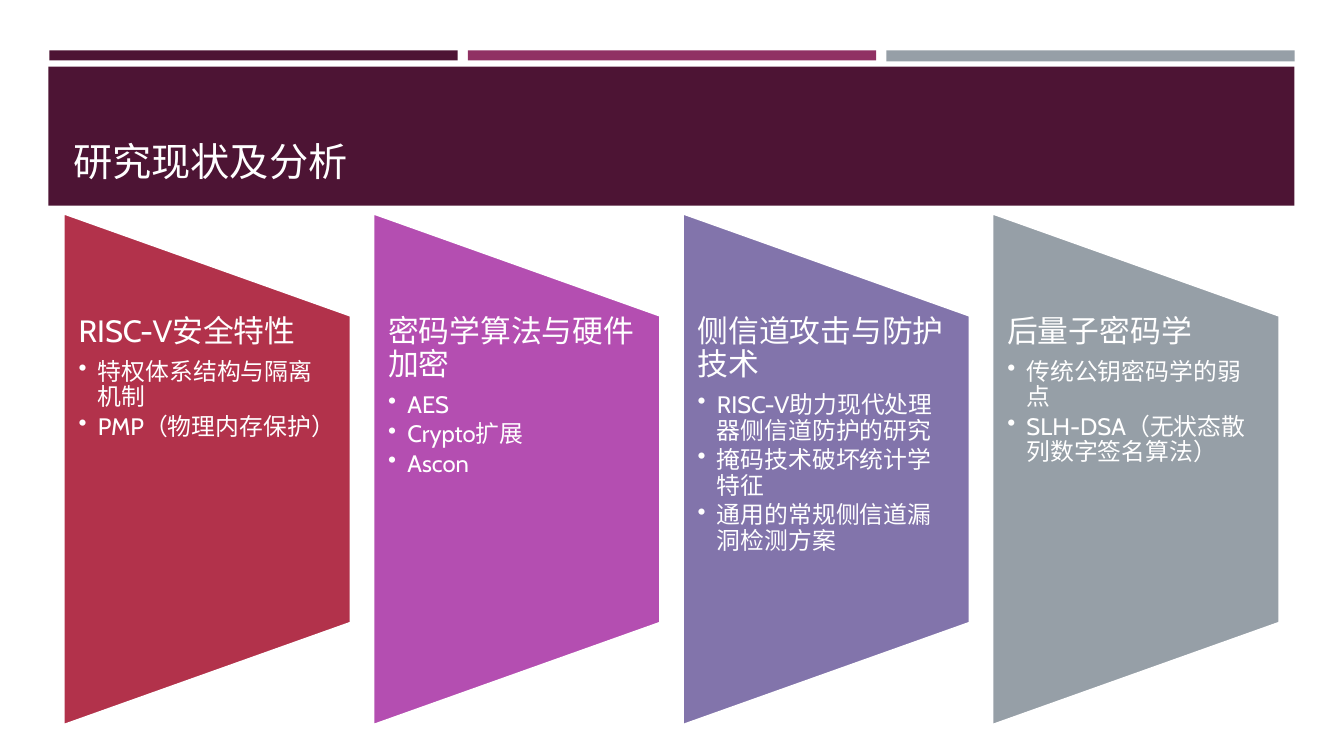
import pptx
import pptx.util
import pptx.dml.color
import pptx.enum.shapes
import pptx.enum.text
import pptx.oxml.ns
from lxml import etree

Inches, Pt = pptx.util.Inches, pptx.util.Pt
SHAPE = pptx.enum.shapes.MSO_SHAPE
ANCHOR = pptx.enum.text.MSO_ANCHOR

prs = pptx.Presentation()
prs.slide_width, prs.slide_height = Inches(13.33), Inches(7.5)
s = prs.slides.add_slide(prs.slide_layouts[6])


def paint(fmt, color):
    fmt.solid()
    fmt.fore_color.rgb = pptx.dml.color.RGBColor.from_string(color)


def write(p, text, size):
    r = p.add_run()
    r.text = text
    r.font.name, r.font.size = "Cabin", Pt(size)
    paint(r.font.fill, "FFFFFF")


# Top bars and title band
bars = [
    (0.49, 0.5, 4.05, 0.1, "4D1434"),
    (4.64, 0.5, 4.05, 0.1, "903163"),
    (8.79, 0.5, 4.05, 0.11, "969FA7"),
    (0.48, 0.66, 12.36, 1.38, "4D1434"),
]
for *box, color in bars:
    sp = s.shapes.add_shape(SHAPE.RECTANGLE, *map(Inches, box))
    sp.shadow.inherit = False
    paint(sp.fill, color)
    sp.line.fill.background()

# Title
tf = s.shapes.add_textbox(Inches(0.63), Inches(0.8), Inches(12.06), Inches(1.08)).text_frame
tf.word_wrap = True
tf.vertical_anchor = ANCHOR.BOTTOM
write(tf.paragraphs[0], "研究现状及分析", 28)

# Four topic panels
topics = [
    ("B2324B", "RISC-V安全特性", ["特权体系结构与隔离机制", "PMP（物理内存保护）"]),
    ("B44EB1", "密码学算法与硬件加密", ["AES", "Crypto扩展", "Ascon"]),
    ("8274AB", "侧信道攻击与防护技术",
     ["RISC-V助力现代处理器侧信道防护的研究", "掩码技术破坏统计学特征", "通用的常规侧信道漏洞检测方案"]),
    ("969FA7", "后量子密码学", ["传统公钥密码学的弱点", "SLH-DSA（无状态散列数字签名算法）"]),
]
panel_w, panel_h, pitch = 2.85, 5.08, 3.07
frame = {"word_wrap": True, "vertical_anchor": ANCHOR.TOP,
         "margin_left": Inches(0.15), "margin_right": Inches(0.15),
         "margin_top": 0, "margin_bottom": 0}

for i, (color, heading, points) in enumerate(topics):
    left = 0.63 + i * pitch

    # The outline is turned a quarter, so its width is the panel's height
    sp = s.shapes.add_shape(SHAPE.FLOWCHART_MANUAL_OPERATION,
                            Inches(left + (panel_w - panel_h) / 2), Inches(3.23),
                            Inches(panel_h), Inches(panel_w))
    sp.rotation = 270
    sp.shadow.inherit = False
    paint(sp.fill, color)
    paint(sp.line.fill, "FFFFFF")
    sp.line.width = Pt(1.75)

    tf = s.shapes.add_textbox(Inches(left), Inches(3.13), Inches(panel_w), Inches(3.05)).text_frame
    for name, value in frame.items():
        setattr(tf, name, value)
    p = tf.paragraphs[0]
    p.line_spacing, p.space_after = 0.9, Pt(7.7)
    write(p, heading, 22)

    # Bulleted points
    for point in points:
        p = tf.add_paragraph()
        p.level = 1
        p.line_spacing, p.space_after = 0.9, Pt(2.6)
        pPr = p._p.get_or_add_pPr()
        pPr.set("marL", str(Inches(0.19)))
        pPr.set("indent", str(-Inches(0.19)))
        etree.SubElement(pPr, pptx.oxml.ns.qn("a:buChar")).set("char", "•")
        write(p, point, 17)

prs.save("out.pptx")
